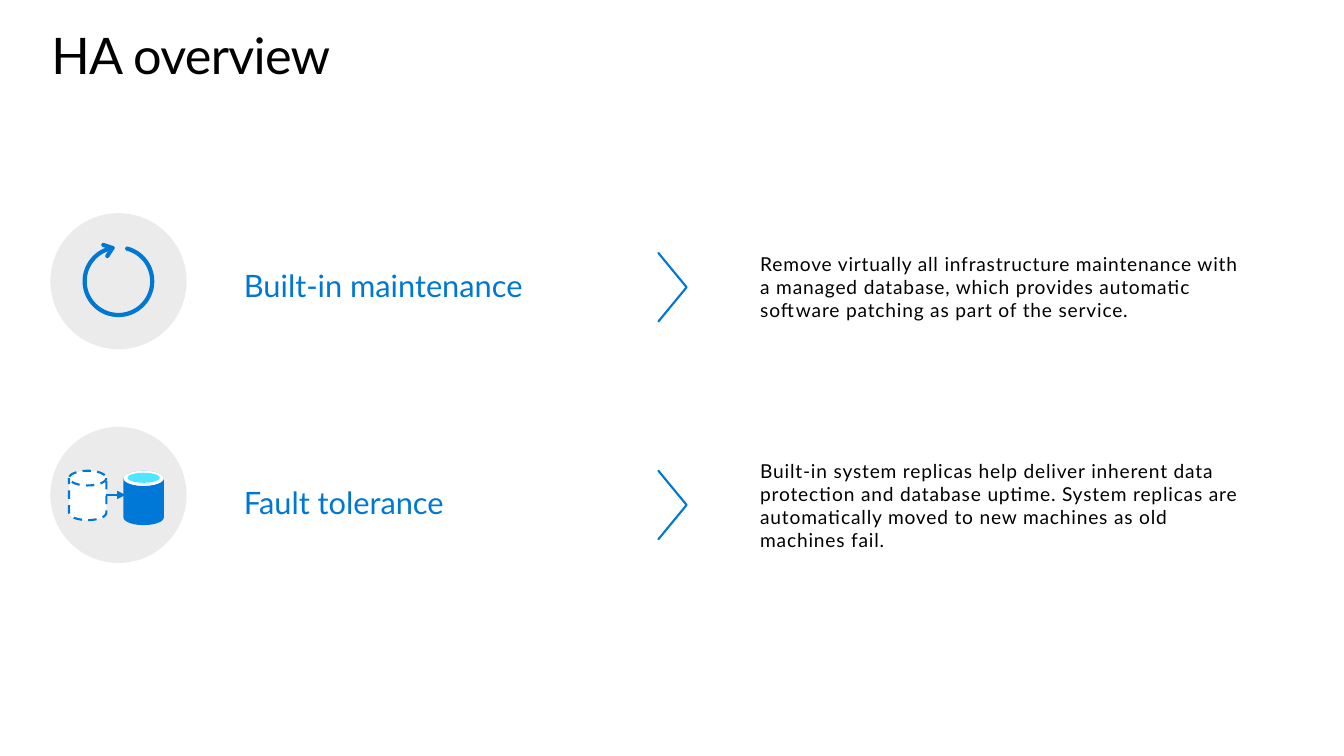
from math import cos, radians, sin

from lxml.etree import SubElement
from pptx import Presentation
from pptx.dml.color import RGBColor
from pptx.enum.dml import MSO_LINE_DASH_STYLE as Dash
from pptx.enum.shapes import MSO_CONNECTOR as Connector, MSO_SHAPE as Preset
from pptx.enum.text import MSO_ANCHOR as Anchor, MSO_AUTO_SIZE as AutoSize, PP_ALIGN as Align
from pptx.oxml.ns import qn
from pptx.util import Inches, Pt

WIDTH, HEIGHT = 13.33, 7.5
BLUE, GREY, WHITE, CYAN, BLACK = "0078D3", "EBEBEB", "FFFFFF", "50E6FF", "000000"
DISC_SIZE = 1.35
CONTENT_ROWS = [
    (2.85, 2.79, "Built-in maintenance",
     "Remove virtually all infrastructure maintenance with "
     "a managed database, which provides automatic "
     "software patching as part of the service."),
    (5.01, 4.91, "Fault tolerance",
     "Built-in system replicas help deliver inherent data protection and database uptime. "
     "System replicas are automatically moved to new machines as old machines fail."),
]


def color(hex_text):
    """Turn a hex string into a colour."""
    return RGBColor.from_string(hex_text)


def write(shape, text, size, hex_text=BLACK, spacing=0, leading=1.0,
          anchor=Anchor.MIDDLE, margins=(0.16, 0.1)):
    """Put one formatted paragraph into a shape."""
    frame = shape.text_frame
    frame.word_wrap, frame.auto_size = True, AutoSize.NONE
    frame.vertical_anchor = anchor
    frame.margin_left = frame.margin_right = Inches(margins[0])
    frame.margin_top = frame.margin_bottom = Inches(margins[1])
    para = frame.paragraphs[0]
    para.alignment, para.line_spacing = Align.LEFT, leading
    span = para.add_run()
    span.text = text
    span.font.size, span.font.name = Pt(size), "Lato"
    span.font.color.rgb = color(hex_text)
    span._r.get_or_add_rPr().set("spc", str(round(spacing * 100)))


def add_preset(page, preset, box, fill):
    """Add a filled preset shape without outline or shadow."""
    shape = page.shapes.add_shape(preset, *map(Inches, box))
    shape.shadow.inherit = False
    shape.fill.solid()
    shape.fill.fore_color.rgb = color(fill)
    shape.line.fill.background()
    return shape


def style_line(line, width):
    """Give a line the accent colour and a width."""
    line.color.rgb = color(BLUE)
    line.width = Pt(width)


def add_stroke(page, points, width):
    """Draw an open, unfilled outline through the points."""
    start, *rest = [(Inches(x), Inches(y)) for x, y in points]
    builder = page.shapes.build_freeform(*start)
    builder.add_line_segments(rest, close=False)
    shape = builder.convert_to_shape()
    shape.shadow.inherit = False
    shape.fill.background()
    style_line(shape.line, width)
    outline = shape._element.spPr.find(qn("a:ln"))
    outline.set("cap", "rnd")
    SubElement(outline, qn("a:round"))


def add_refresh_icon(page, center_x, center_y):
    """Draw the circular arrow around a centre."""
    radius = 0.335
    angles = [radians(degree) for degree in range(-75, 261, 5)]
    add_stroke(page, [(center_x + radius * cos(a), center_y + radius * sin(a)) for a in angles], 3)
    tip_x, tip_y = center_x - 0.06, center_y - 0.33
    add_stroke(page, [(tip_x - 0.09, tip_y - 0.03), (tip_x, tip_y), (tip_x - 0.05, tip_y + 0.08)], 3)


def add_failover_icon(page, center_x, center_y):
    """Draw a dashed database pointing at a solid one."""
    old = add_preset(page, Preset.CAN, (center_x - 0.49, center_y - 0.24, 0.37, 0.49), WHITE)
    old.adjustments[0] = 0.395
    style_line(old.line, 1.5)
    old.line.dash_style = Dash.DASH

    ends = [Inches(v) for v in (center_x - 0.12, center_y, center_x + 0.07, center_y)]
    arrow = page.shapes.add_connector(Connector.STRAIGHT, *ends)
    style_line(arrow.line, 1.5)
    properties = arrow._element.spPr
    SubElement(properties.find(qn("a:ln")), qn("a:tailEnd"), type="triangle")
    SubElement(properties, qn("a:effectLst"))

    left, top = center_x + 0.05, center_y - 0.24
    new = add_preset(page, Preset.CAN, (left, top, 0.4, 0.54), "0078D7")
    new.adjustments[0] = 0.375
    add_preset(page, Preset.OVAL, (left, top, 0.4, 0.15), WHITE)
    add_preset(page, Preset.OVAL, (left + 0.04, top + 0.02, 0.32, 0.1), CYAN)


def add_text_box(page, box, text, size, **style):
    """Add a text box with formatted text."""
    write(page.shapes.add_textbox(*map(Inches, box)), text, size, **style)


def add_title(page, box, text):
    """Move the title placeholder into its box and fill it."""
    title = page.shapes.title
    title.left, title.top, title.width, title.height = map(Inches, box)
    write(title, text, 36, spacing=-0.5, anchor=Anchor.TOP, margins=(0, 0))


def add_feature(page, left, middle, disc_middle, heading, detail, draw_icon):
    """Place one row: icon disc, heading, chevron and description."""
    half = DISC_SIZE / 2
    add_preset(page, Preset.OVAL, (left, disc_middle - half, DISC_SIZE, DISC_SIZE), GREY)
    draw_icon(page, left + half, disc_middle)
    add_text_box(page, (left + 1.76, middle - 0.27, 3.33, 0.54), heading, 22,
                 hex_text=BLUE, leading=0.9)
    chevron = left + 6.03
    add_stroke(page, [(chevron, middle - 0.34), (chevron + 0.28, middle), (chevron, middle + 0.34)], 1.5)
    add_text_box(page, (left + 6.88, middle - 0.57, 5.08, 1.14), detail, 13.7, spacing=0.6)


def main():
    """Build and save the deck."""
    deck = Presentation()
    deck.slide_width, deck.slide_height = Inches(WIDTH), Inches(HEIGHT)
    page = deck.slides.add_slide(deck.slide_layouts[5])
    add_title(page, (0.51, 0.24, 9.63, 0.61), "HA overview")
    for row, draw_icon in zip(CONTENT_ROWS, (add_refresh_icon, add_failover_icon)):
        add_feature(page, 0.5, *row, draw_icon)
    deck.save("out.pptx")


if __name__ == "__main__":
    main()
